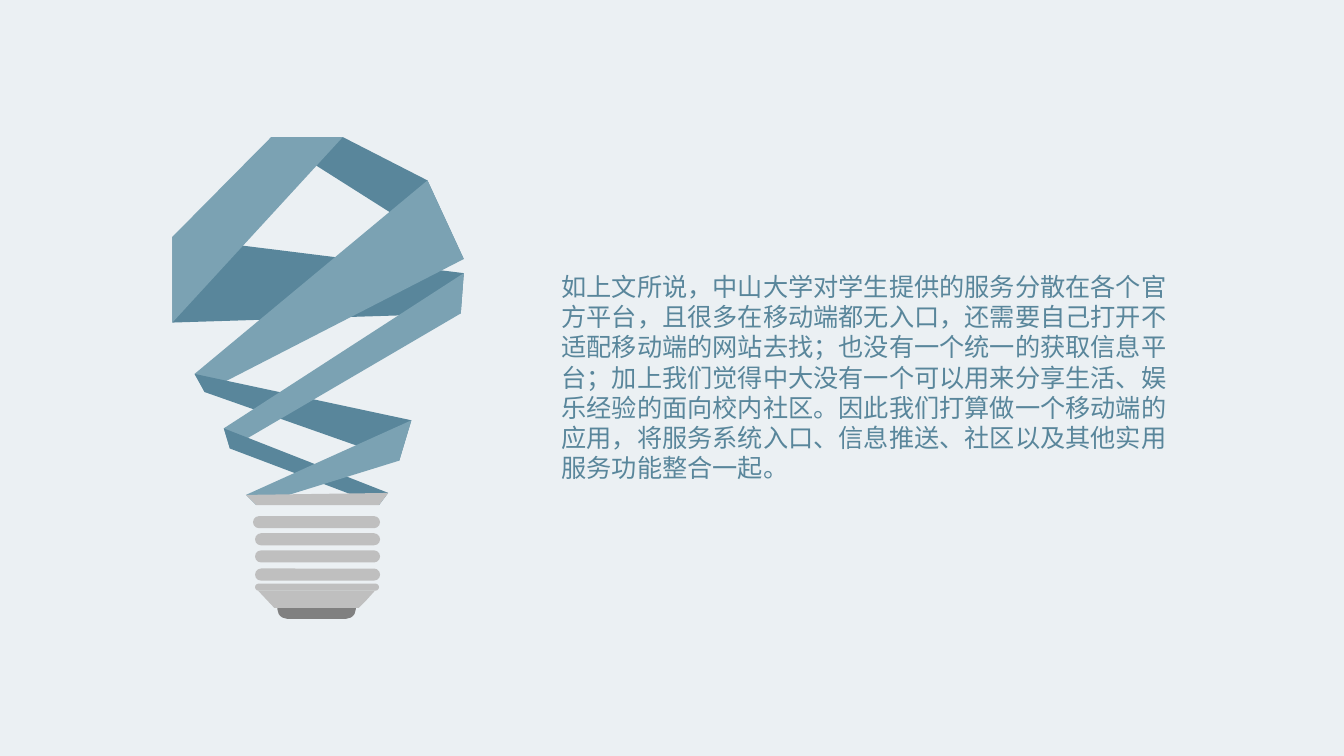
from dataclasses import dataclass

from pptx import Presentation
from pptx.dml.color import RGBColor
from pptx.enum.shapes import MSO_SHAPE
from pptx.enum.text import MSO_AUTO_SIZE
from pptx.shapes.autoshape import Shape
from pptx.slide import Slide
from pptx.util import Inches, Pt

COLORS = {
    "background": "EBF0F3",
    "ribbon_light": "7BA2B3",
    "ribbon_dark": "59869B",
    "socket": "BFBFBF",
    "contact": "808080",
    "text": "59869B",
}

BODY_TEXT = (
    "如上文所说，中山大学对学生提供的服务分散在各个官方平台，"
    "且很多在移动端都无入口，还需要自己打开不适配移动端的网站去找；"
    "也没有一个统一的获取信息平台；"
    "加上我们觉得中大没有一个可以用来分享生活、娱乐经验的面向校内社区。"
    "因此我们打算做一个移动端的应用，"
    "将服务系统入口、信息推送、社区以及其他实用服务功能整合一起。"
)


@dataclass(frozen=True)
class Pill:
    left: float
    top: float
    width: float
    height: float
    color: str = "socket"


@dataclass(frozen=True)
class Polygon:
    color: str
    points: tuple[tuple[float, float], ...]


THREADS = [Pill(2.53, top, 1.24, 0.12) for top in (5.29, 5.46, 5.64)]
PILLS = [
    Pill(2.75, 5.94, 0.78, 0.2, "contact"),
    Pill(2.51, 5.12, 1.26, 0.12),
    *THREADS,
    Pill(2.53, 5.79, 1.23, 0.07),
]

SOCKET_TAPER = Polygon(
    "socket", ((2.56, 5.86), (3.72, 5.86), (3.63, 5.96), (3.56, 6.03), (2.72, 6.03))
)
# Ribbon folds from back to front, then the collar that holds them
RIBBONS = [
    Polygon("ribbon_dark", ((2.69, 1.36), (4.6, 2.57), (4.24, 1.79), (3.4, 1.36))),
    Polygon("ribbon_dark", ((1.71, 2.35), (4.6, 2.71), (4.57, 3.11), (1.71, 3.2))),
    Polygon("ribbon_light", ((4.24, 1.79), (1.93, 3.71), (2.03, 3.89), (4.6, 2.57))),
    Polygon("ribbon_dark", ((1.93, 3.71), (4.08, 4.17), (3.96, 4.57), (2.03, 3.89))),
    Polygon("ribbon_light", ((4.6, 2.71), (2.22, 4.25), (2.28, 4.45), (4.57, 3.11))),
    Polygon("ribbon_dark", ((2.22, 4.25), (3.85, 4.89), (3.76, 5.01), (2.28, 4.45))),
    Polygon("ribbon_light", ((2.69, 1.36), (1.71, 2.35), (1.71, 3.2), (3.4, 1.36))),
    Polygon("ribbon_light", ((2.54, 5.01), (3.96, 4.57), (4.08, 4.17), (2.44, 4.91))),
    Polygon("socket", ((2.44, 4.91), (3.85, 4.89), (3.76, 5.01), (2.54, 5.01))),
]


def color_of(name: str) -> RGBColor:
    return RGBColor.from_string(COLORS[name])


def paint(shape: Shape, color: str) -> None:
    """Give the shape a flat fill with no line and no shadow."""
    shape.shadow.inherit = False
    shape.fill.solid()
    shape.fill.fore_color.rgb = color_of(color)
    shape.line.fill.background()


def draw_pill(slide: Slide, pill: Pill) -> None:
    box = map(Inches, (pill.left, pill.top, pill.width, pill.height))
    shape = slide.shapes.add_shape(MSO_SHAPE.ROUNDED_RECTANGLE, *box)
    shape.adjustments[0] = 0.5
    paint(shape, pill.color)


def draw_polygon(slide: Slide, polygon: Polygon) -> None:
    start, *others = [(Inches(x), Inches(y)) for x, y in polygon.points]
    builder = slide.shapes.build_freeform(*start)
    builder.add_line_segments(others, close=True)
    paint(builder.convert_to_shape(), polygon.color)


def draw_body_text(slide: Slide) -> None:
    box = map(Inches, (5.47, 2.64, 6.29, 2.22))
    text_frame = slide.shapes.add_textbox(*box).text_frame
    frame_format = {"word_wrap": True, "auto_size": MSO_AUTO_SIZE.SHAPE_TO_FIT_TEXT}
    for name, value in frame_format.items():
        setattr(text_frame, name, value)
    run = text_frame.paragraphs[0].add_run()
    run.text = BODY_TEXT
    for name, value in {"name": "Lato", "size": Pt(18)}.items():
        setattr(run.font, name, value)
    run.font.color.rgb = color_of("text")


def main() -> None:
    presentation = Presentation()
    presentation.slide_width = Inches(13.33)
    presentation.slide_height = Inches(7.5)
    slide = presentation.slides.add_slide(presentation.slide_layouts[6])
    slide.background.fill.solid()
    slide.background.fill.fore_color.rgb = color_of("background")

    for pill in PILLS:
        draw_pill(slide, pill)
    for polygon in (SOCKET_TAPER, *RIBBONS):
        draw_polygon(slide, polygon)
    draw_body_text(slide)
    presentation.save("out.pptx")


if __name__ == "__main__":
    main()
